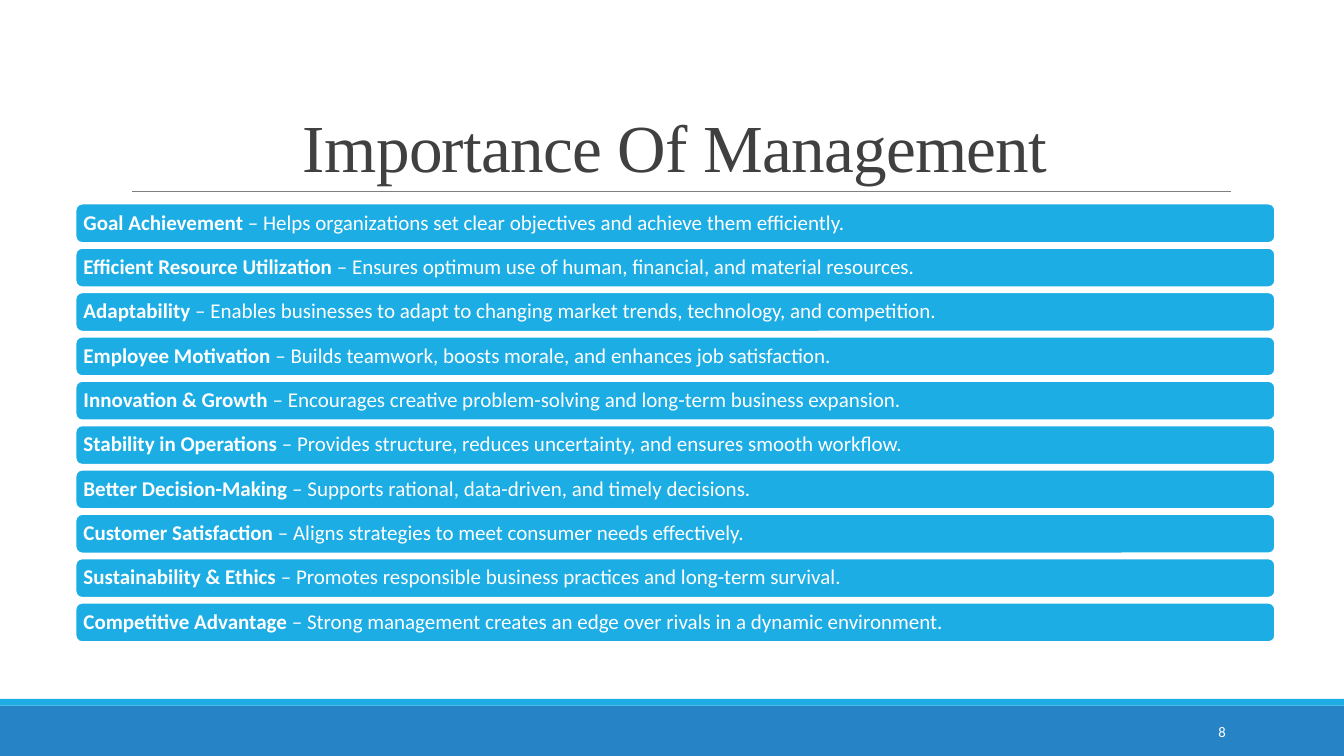
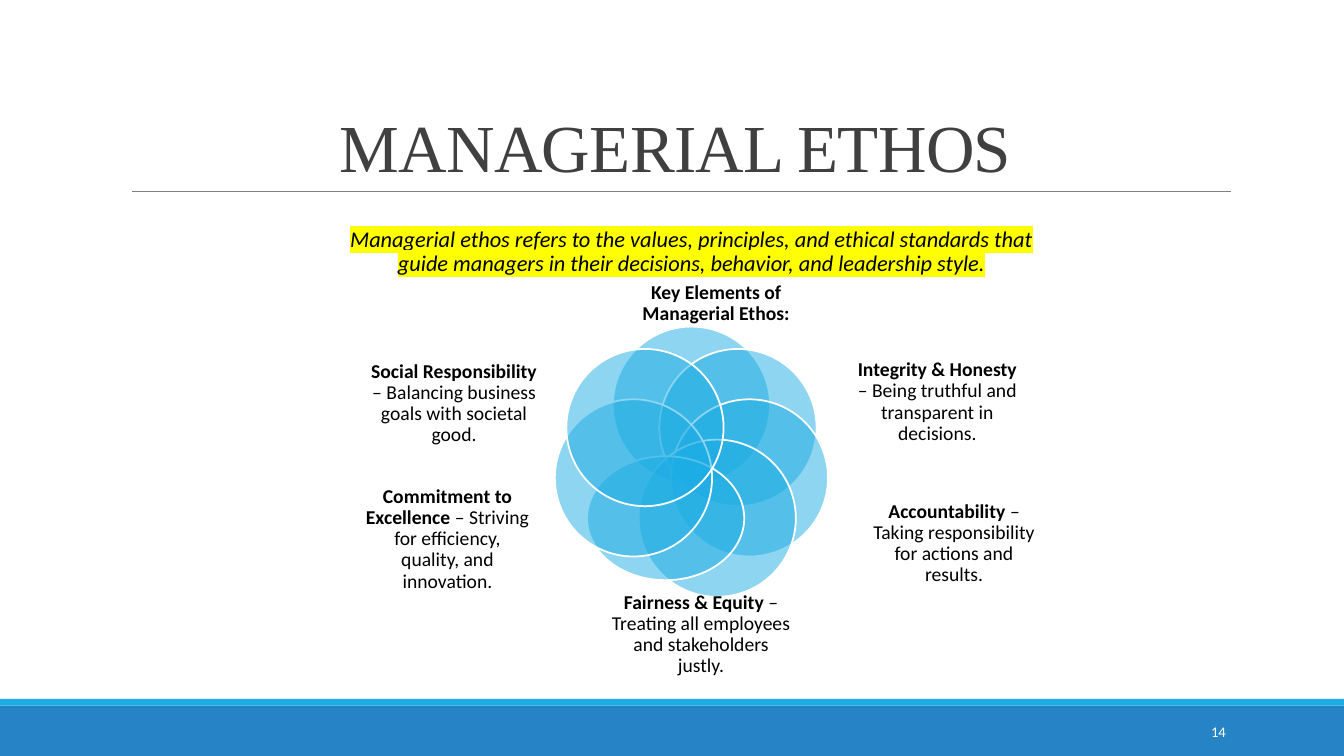
from math import cos, pi, sin

from lxml.etree import SubElement
from pptx import Presentation
from pptx.dml.color import RGBColor
from pptx.enum.shapes import MSO_CONNECTOR as Connector, MSO_SHAPE as Shape
from pptx.enum.text import MSO_ANCHOR as Anchor, MSO_AUTO_SIZE as AutoSize, PP_ALIGN as Align
from pptx.oxml.ns import qn
from pptx.util import Emu, Pt

# The slide is a grid of square cells, three to the inch
CELL = 304800
COLUMNS, ROWS = 40, 22.5

BLUE, DEEP_BLUE = "1CADE4", "2683C6"
WHITE, BLACK, GREY, CHARCOAL, YELLOW = "FFFFFF", "000000", "808080", "404040", "FFFF00"

# Text styles: font attributes plus a colour
TITLE = {"size": Pt(48), "name": "Times New Roman", "color": CHARCOAL}
NUMBER = {"size": Pt(10.5), "name": "Calibri", "color": WHITE}
BAR = {"size": Pt(15), "name": "Calibri", "color": WHITE}
LABEL = {"size": Pt(14), "name": "Calibri", "color": BLACK}
DEFINITION = {"size": Pt(16), "name": "Calibri", "color": BLACK, "italic": True}

BENEFITS = [
    ("Goal Achievement", "Helps organizations set clear objectives and achieve them efficiently."),
    ("Efficient Resource Utilization",
     "Ensures optimum use of human, financial, and material resources."),
    ("Adaptability",
     "Enables businesses to adapt to changing market trends, technology, and competition."),
    ("Employee Motivation", "Builds teamwork, boosts morale, and enhances job satisfaction."),
    ("Innovation & Growth",
     "Encourages creative problem-solving and long-term business expansion."),
    ("Stability in Operations",
     "Provides structure, reduces uncertainty, and ensures smooth workflow."),
    ("Better Decision-Making", "Supports rational, data-driven, and timely decisions."),
    ("Customer Satisfaction", "Aligns strategies to meet consumer needs effectively."),
    ("Sustainability & Ethics",
     "Promotes responsible business practices and long-term survival."),
    ("Competitive Advantage",
     "Strong management creates an edge over rivals in a dynamic environment."),
]

ETHOS = ("Managerial ethos refers to the values, principles, and ethical standards that "
         "guide managers in their decisions, behavior, and leadership style.")

# Element, explanation, and its box in cells (column, row, width, height)
ELEMENTS = [
    ("Key Elements of Managerial Ethos:", "", (18.78, 7.47, 5.07, 3.15)),
    ("Integrity & Honesty", "Being truthful and transparent in decisions.",
     (25.41, 10.29, 4.98, 3.36)),
    ("Accountability", "Taking responsibility for actions and results.",
     (25.71, 14.64, 5.37, 3.09)),
    ("Fairness & Equity", "Treating all employees and stakeholders justly.",
     (18.18, 17.34, 5.37, 3.09)),
    ("Commitment to Excellence", "Striving for efficiency, quality, and innovation.",
     (10.83, 14.37, 4.98, 3.36)),
    ("Social Responsibility", "Balancing business goals with societal good.",
     (10.98, 10.44, 5.07, 3.15)),
]


def rgb(hex_code):
    return RGBColor.from_string(hex_code)


def cells(*lengths):
    return [Emu(round(length * CELL)) for length in lengths]


def heading_runs(heading, explanation):
    """A bold heading, then its explanation after a dash."""
    runs = [(heading, {"bold": True})]
    if explanation:
        runs.append((f" – {explanation}", {"bold": False}))
    return runs


class Deck:
    def __init__(self):
        self.show = Presentation()
        self.show.slide_width, self.show.slide_height = cells(COLUMNS, ROWS)
        self.slide = None

    def new_slide(self, title, number):
        self.slide = self.show.slides.add_slide(self.show.slide_layouts[5])
        # Footer bands and title rule
        self.shape(Shape.RECTANGLE, (0, 21, COLUMNS, 1.5), DEEP_BLUE)
        self.shape(Shape.RECTANGLE, (0, 20.8, COLUMNS, 0.2), BLUE)
        self.rule(3.93, 36.63, 5.7)
        # Title
        heading = self.slide.shapes.title
        heading.left, heading.top, heading.width, heading.height = cells(3.6, 0.93, 33, 4.77)
        self.fill_text(heading, [(title, {})], TITLE, align=Align.CENTER,
                       anchor=Anchor.BOTTOM, spacing=0.85, inset=(0.3, 0.15))
        heading.text_frame.paragraphs[0].runs[0].font._element.set("spc", "-50")
        # Slide number
        self.text((32.5, 21.18, 4.28, 1.2), [(str(number), {})], NUMBER,
                  align=Align.RIGHT, spacing=1, inset=(0.3, 0.15))

    def shape(self, kind, box, fill, outline=None, opacity=100):
        shape = self.slide.shapes.add_shape(kind, *cells(*box))
        shape.shadow.inherit = False
        shape.fill.solid()
        shape.fill.fore_color.rgb = rgb(fill)
        if opacity < 100:
            color = shape._element.spPr.find(qn("a:solidFill"))[0]
            SubElement(color, qn("a:alpha")).set("val", str(opacity * 1000))
        if outline:
            shape.line.color.rgb = rgb(outline)
            shape.line.width = Pt(1.25)
        else:
            shape.line.fill.background()
        return shape

    def rule(self, start, end, row):
        line = self.slide.shapes.add_connector(Connector.STRAIGHT, *cells(start, row, end, row))
        line.line.color.rgb = rgb(GREY)
        line.line.width = Pt(0.5)
        SubElement(line._element.spPr, qn("a:effectLst"))

    def text(self, box, runs, style, **layout):
        self.fill_text(self.slide.shapes.add_textbox(*cells(*box)), runs, style, **layout)

    def bar(self, box, runs):
        bar = self.shape(Shape.ROUNDED_RECTANGLE, box, BLUE, WHITE)
        self.fill_text(bar, runs, BAR, align=Align.LEFT, inset=(0.18, 0))

    def fill_text(self, holder, runs, style, align=Align.CENTER, anchor=Anchor.MIDDLE,
                  spacing=0.9, inset=(0, 0), highlight=None):
        frame = holder.text_frame
        side, edge = cells(*inset)
        settings = {"word_wrap": True, "auto_size": AutoSize.NONE, "vertical_anchor": anchor,
                    "margin_left": side, "margin_right": side,
                    "margin_top": edge, "margin_bottom": edge}
        for name, value in settings.items():
            setattr(frame, name, value)
        paragraph = frame.paragraphs[0]
        paragraph.alignment = align
        paragraph.line_spacing = spacing
        for words, changes in runs:
            run = paragraph.add_run()
            run.text = words
            for name, value in {**style, **changes}.items():
                if name == "color":
                    run.font.color.rgb = rgb(value)
                else:
                    setattr(run.font, name, value)
            if highlight:
                # The highlight has to follow the text fill
                properties = run.font._element
                mark = SubElement(properties, qn("a:highlight"))
                SubElement(mark, qn("a:srgbClr")).set("val", highlight)
                properties.find(qn("a:solidFill")).addnext(mark)


def importance(deck):
    deck.new_slide("Importance Of Management", 8)
    for index, benefit in enumerate(BENEFITS):
        deck.bar((2.25, 6.06 + 1.32 * index, 35.7, 1.17), heading_runs(*benefit))


def managerial_ethos(deck):
    deck.new_slide("MANAGERIAL ETHOS", 14)
    # Ring of overlapping circles, clockwise from the top; the fifth is flatter
    center_column, center_row, ring_radius, diameter = 20.58, 13.83, 1.77, 4.68
    heights = [diameter] * 7
    heights[4] = 3.69
    for index, height in enumerate(heights):
        angle = 2 * pi * index / len(heights)
        column = center_column + ring_radius * sin(angle) - diameter / 2
        row = center_row - ring_radius * cos(angle) - height / 2
        deck.shape(Shape.OVAL, (column, row, diameter, height), BLUE, WHITE, opacity=50)
    # Definition and the labels around the ring
    deck.text((9.84, 6.06, 21.48, 2.88), [(ETHOS, {})], DEFINITION, highlight=YELLOW)
    for heading, explanation, box in ELEMENTS:
        deck.text(box, heading_runs(heading, explanation), LABEL)


def main():
    deck = Deck()
    importance(deck)
    managerial_ethos(deck)
    deck.show.save("out.pptx")


if __name__ == "__main__":
    main()
